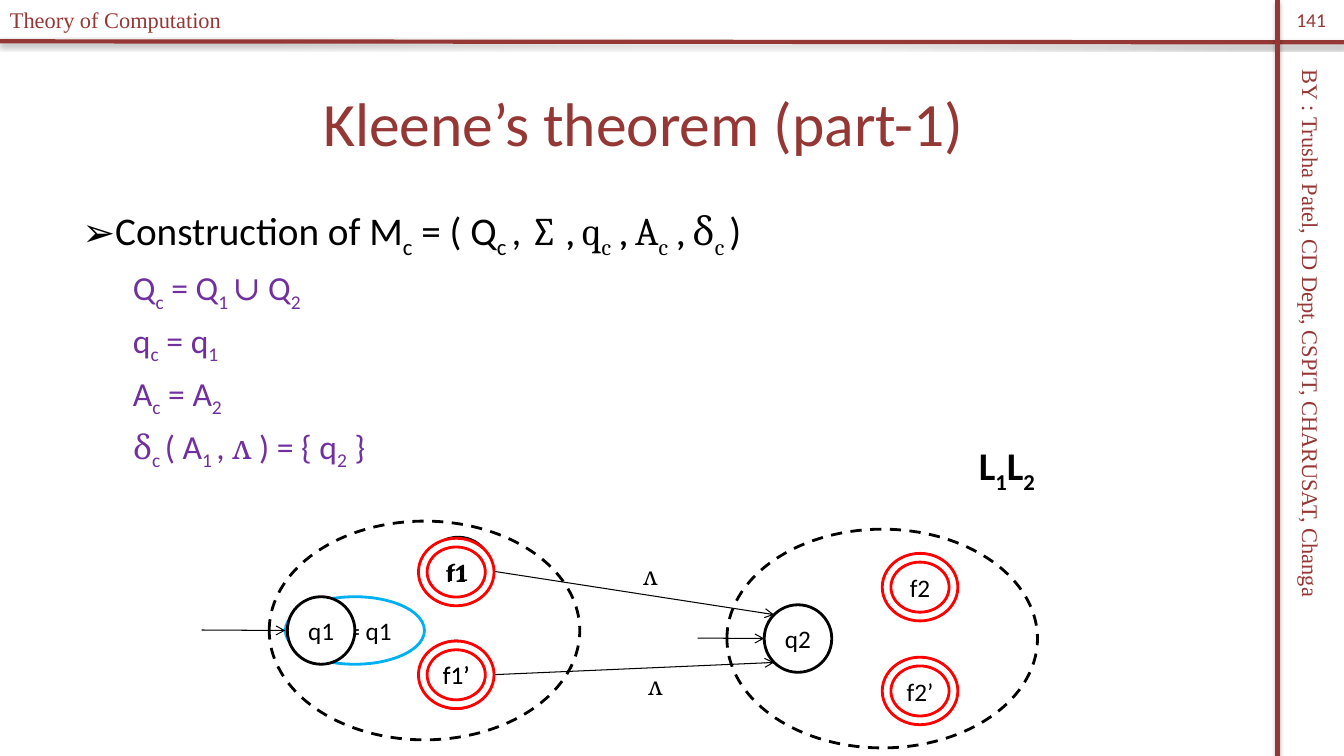
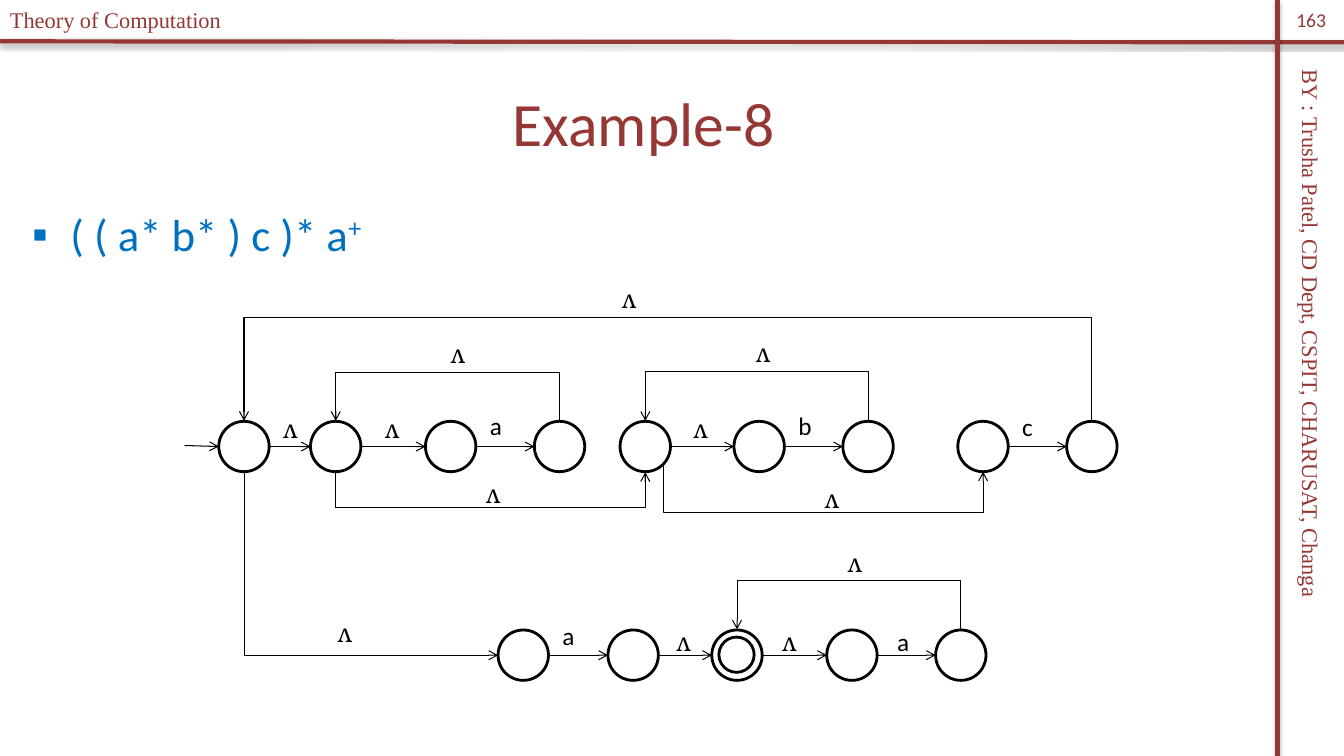
import dataclasses

import pptx
import pptx.dml.color
import pptx.enum.dml
import pptx.enum.shapes
import pptx.enum.text
import pptx.oxml
import pptx.oxml.ns
import pptx.util

Inches = pptx.util.Inches
Pt = pptx.util.Pt
qn = pptx.oxml.ns.qn
Kind = pptx.enum.shapes.MSO_SHAPE
Route = pptx.enum.shapes.MSO_CONNECTOR
Align = pptx.enum.text.PP_ALIGN
Anchor = pptx.enum.text.MSO_ANCHOR

# Connection sites of an ellipse, as fractions of its width and height
TOP, TOP_LEFT, LEFT, BOTTOM_LEFT, BOTTOM, BOTTOM_RIGHT, RIGHT = range(7)
SITES = [(0.5, 0), (0.146, 0.146), (0, 0.5), (0.146, 0.854),
         (0.5, 1), (0.854, 0.854), (1, 0.5)]
EMPTY_MOVE = "ʌ"


@dataclasses.dataclass(frozen=True)
class Theme:
    maroon: str = "953735"
    black: str = "000000"
    white: str = "FFFFFF"
    red: str = "FF0000"
    cyan: str = "00B0F0"
    blue: str = "0070C0"
    purple: str = "7030A0"
    sans: str = "Calibri"
    math: str = "Cambria"
    serif: str = "Times New Roman"
    title: int = 44
    formula: int = 32
    point: int = 28
    detail: int = 24
    label: int = 18
    band: int = 16
    number: int = 14
    band_line: float = 3
    outline: float = 2
    arrow: float = 0.75


@dataclasses.dataclass
class Span:
    text: str
    base: int = 0
    face: str = Theme.sans


def sub(text, face=Theme.sans):
    return Span(text, -25, face)


def math(text):
    return Span(text, 0, Theme.math)


def add_xml(parent, tag, **attributes):
    child = parent.makeelement(qn(tag), attributes)
    parent.append(child)
    return child


def rgb(colour):
    return pptx.dml.color.RGBColor.from_string(colour)


class Deck:
    def __init__(self, theme):
        self.theme = theme
        self.show = pptx.Presentation()
        self.show.slide_width = Inches(13.33)
        self.show.slide_height = Inches(7.5)
        self.page = None

    def start_page(self, title, number):
        t = self.theme
        self.page = self.show.slides.add_slide(self.show.slide_layouts[6])
        for start, end in [((0, 0.41), (13.33, 0.42)), ((12.67, 0), (12.67, 7.5))]:
            self.band(start, end)
        band_style = dict(size=t.band, colour=t.maroon)
        credit = self.text((9.79, 3.62, 6.42, 0.37), [Span(
            "BY : Trusha Patel, CD Dept, CSPIT, CHARUSAT, Changa", face=t.serif)], **band_style)
        credit.rotation = 90
        self.text((0, 0.01, 3.29, 0.37), [Span("Theory of Computation", face=t.serif)],
                  **band_style)
        centred = dict(colour=t.maroon, align=Align.CENTER, anchor=Anchor.MIDDLE)
        self.text((0.22, 0.58, 12.33, 1.25), [Span(title)], size=t.title, **centred)
        self.text((12.67, 0, 0.67, 0.4), [Span(number)], size=t.number, **centred)

    def add_spans(self, para, spans, size, colour, bold=False):
        for span in spans:
            run = para.add_run()
            run.text = span.text
            for name, value in dict(name=span.face, size=Pt(size), bold=bold).items():
                setattr(run.font, name, value)
            run.font.color.rgb = rgb(colour)
            if span.base:
                run.font._element.set("baseline", str(span.base * 1000))

    def text(self, at, spans, size, colour=Theme.black, align=Align.LEFT,
             anchor=Anchor.TOP, bold=False):
        box = self.page.shapes.add_textbox(*map(Inches, at))
        frame = box.text_frame
        frame.word_wrap = False
        frame.vertical_anchor = anchor
        frame.paragraphs[0].alignment = align
        self.add_spans(frame.paragraphs[0], spans, size, colour, bold)
        return box

    def label(self, x, y, text=EMPTY_MOVE):
        face = self.theme.math if text == EMPTY_MOVE else self.theme.sans
        self.text((x, y, 0.33, 0.4), [Span(text, face=face)], self.theme.label)

    def body(self, lines):
        """Each line is (spans, size, colour, left margin, hanging indent, bullet)."""
        frame = self.page.shapes.add_textbox(
            *map(Inches, (0.22, 2, 12.33, 5.25))).text_frame
        frame.word_wrap = True
        for index, (spans, size, colour, margin, hanging, bullet) in enumerate(lines):
            para = frame.add_paragraph() if index else frame.paragraphs[0]
            if index:
                para.space_before = Pt(5)
            props = para._p.get_or_add_pPr()
            props.set("marL", str(Inches(margin)))
            props.set("indent", str(-Inches(hanging)))
            if bullet:
                add_xml(props, "a:buFont", typeface="Arial")
                add_xml(props, "a:buChar", char=bullet)
            self.add_spans(para, spans, size, colour)

    def state(self, at, text="", line=Theme.black, kind=Kind.OVAL, dashed=False):
        shape = self.page.shapes.add_shape(kind, *map(Inches, at))
        shape.shadow.inherit = False
        if dashed:
            shape.fill.background()
            shape.line.dash_style = pptx.enum.dml.MSO_LINE.DASH
        else:
            shape.fill.solid()
            shape.fill.fore_color.rgb = rgb(self.theme.white)
        shape.line.color.rgb = rgb(line)
        shape.line.width = Pt(self.theme.outline)
        if text:
            frame = shape.text_frame
            frame.word_wrap = False
            frame.vertical_anchor = Anchor.MIDDLE
            for side in ("left", "right", "top", "bottom"):
                setattr(frame, "margin_" + side, 0)
            frame.paragraphs[0].alignment = Align.CENTER
            self.add_spans(frame.paragraphs[0], [Span(text)], self.theme.label,
                           self.theme.black)
        return shape

    def final_state(self, x, y, text):
        ring = self.state((x, y, 0.75, 0.67), text, self.theme.red, Kind.DONUT)
        ring.adjustments[0] = 0.129
        return ring

    def connector(self, route, start, end, colour, width):
        line = self.page.shapes.add_connector(route, *start, *end)
        line.line.color.rgb = rgb(colour)
        line.line.width = Pt(width)
        return line, add_xml(line._element.spPr, "a:effectLst")

    def band(self, start, end):
        t = self.theme
        effects = self.connector(Route.STRAIGHT, map(Inches, start), map(Inches, end),
                                 t.maroon, t.band_line)[1]
        shadow = add_xml(effects, "a:outerShdw", blurRad=str(Pt(3.1)), dist=str(Pt(1.8)),
                         dir="5400000", rotWithShape="0")
        add_xml(add_xml(shadow, "a:srgbClr", val=t.black), "a:alpha", val="35000")

    def arrow(self, start, end, route=Route.STRAIGHT):
        """Join two ends, each an (x, y) in inches or a (state, site) pair."""
        ends = [self.place(*start), self.place(*end)]
        line = self.connector(route, *ends, self.theme.black, self.theme.arrow)[0]
        add_xml(line.line._get_or_add_ln(), "a:tailEnd", type="arrow")
        joints = line._element.find(qn("p:nvCxnSpPr")).find(qn("p:cNvCxnSpPr"))
        for tag, (shape, site) in (("a:stCxn", start), ("a:endCxn", end)):
            if hasattr(shape, "shape_id"):
                add_xml(joints, tag, id=str(shape.shape_id), idx=str(site))
        return line, ends

    def place(self, first, second):
        if not hasattr(first, "shape_id"):
            return Inches(first), Inches(second)
        across, down = SITES[second]
        return (int(first.left + across * first.width),
                int(first.top + down * first.height))

    def bent_arrow(self, start, end, level=None):
        """Leave vertically; run along the given level, or turn once at the end's height."""
        line, ((x1, y1), (x2, y2)) = self.arrow(start, end, Route.ELBOW)
        rise, span = max(abs(y2 - y1), Inches(0.01)), abs(x2 - x1)
        upward = level is not None and Inches(level) < y1
        line.left, line.top = (x1 + x2 - rise) // 2, (y1 + y2 - span) // 2
        line.width, line.height = rise, span
        frame = line._element.spPr.find(qn("a:xfrm"))
        for name in ("flipH", "flipV"):
            frame.attrib.pop(name, None)
        frame.set("rot", "16200000")
        frame.set("flipV" if upward else "flipH", "1")
        shape = line._element.spPr.find(qn("a:prstGeom"))
        if level is None:
            shape.set("prst", "bentConnector2")
            return
        guides = shape.find(qn("a:avLst"))
        if guides is None:
            guides = add_xml(shape, "a:avLst")
        ratio = round(abs(Inches(level) - y1) / rise * 100000)
        add_xml(guides, "a:gd", name="adj1", fmla=f"val {ratio}")


def kleene_page(deck):
    t = deck.theme
    deck.start_page("Kleene’s theorem (part-1)", "141")
    construction = [
        Span("Construction of M"), sub("c"), Span(" = ( Q"), sub("c "), Span(", "),
        math("∑ , q"), sub("c", t.math), math(" , A"), sub("c", t.math),
        math(" , δ"), sub("c ", t.math), Span(")")]
    details = [
        [Span("Q"), sub("c"), Span(" = Q"), sub("1 "), math("∪ "), Span("Q"), sub("2")],
        [Span("q"), sub("c"), Span(" = q"), sub("1")],
        [Span("A"), sub("c"), Span(" = A"), sub("2")],
        [math("δ"), sub("c "), Span("( A"), sub("1 "), Span(","), math(" ʌ "),
         Span(") = { q"), sub("2"), Span(" }")]]
    deck.body([(construction, t.point, t.black, 0.81, 0.31, "➢")]
              + [(spans, t.detail, t.purple, 1, 0, None) for spans in details])

    q2 = deck.state((7.58, 6, 0.67, 0.67), "q2")
    for y, name in [(5.49, "f2"), (6.52, "f2’")]:
        deck.final_state(8.75, y, name)
    deck.state((7.21, 5.25, 3.08, 2.17), dashed=True)
    qc = deck.state((2.83, 5.92, 1.38, 0.67), "qc = q1", t.cyan)
    deck.state((2.67, 5.17, 3.08, 2.17), dashed=True)
    f1 = deck.state((4.21, 5.33, 0.67, 0.67), "f1")
    f1_prime = deck.state((4.19, 6.36, 0.67, 0.67), "f1’")
    for start, end in [((2, 6.25), (qc, LEFT)), ((f1, RIGHT), (q2, TOP_LEFT)),
                       ((f1_prime, RIGHT), (q2, BOTTOM_LEFT)), ((6.92, 6.33), (q2, LEFT))]:
        deck.arrow(start, end)
    deck.label(6.28, 5.51)
    deck.label(6.33, 6.6)
    deck.text((9.61, 4.33, 0.8, 0.57), [Span("L"), sub("1"), Span("L"), sub("2")],
              t.point, bold=True)
    deck.state((2.85, 5.92, 0.67, 0.67), "q1")
    for y, name in [(5.34, "f1"), (6.36, "f1’")]:
        deck.final_state(4.15, y, name)


def example_page(deck):
    t = deck.theme
    deck.start_page("Example-8", "163")
    deck.body([([Span("( ( a* b* ) c )* a"), Span("+", 30)],
                t.formula, t.blue, 0.38, 0.38, "▪")])

    def row(y, lefts):
        return [deck.state((x, y, 0.5, 0.5)) for x in lefts]

    upper = row(4.18, [2.17, 3.08, 4.22, 5.3, 6.15, 7.28, 8.36, 9.5, 10.58])
    lower = row(6.25, [4.94, 6.03, 7.06, 8.2, 9.28])
    entry, a_loop, _, a_end, b_loop, _, b_end, c_start, c_end = upper
    accept, last = lower[2], lower[4]
    deck.state((7.13, 6.32, 0.35, 0.35))

    deck.arrow((1.83, 4.42), (entry, LEFT))
    for chain in (upper[:4], upper[4:7], upper[7:], lower):
        for source, target in zip(chain, chain[1:]):
            deck.arrow((source, RIGHT), (target, LEFT))
    for source, target, level in [(a_end, a_loop, 3.68), (b_end, b_loop, 3.67),
                                  (c_end, entry, 3.13), (last, accept, 5.75)]:
        deck.bent_arrow((source, TOP), (target, TOP), level)
    deck.bent_arrow((a_loop, BOTTOM), (b_loop, BOTTOM), 5.05)
    deck.bent_arrow((b_loop, BOTTOM_RIGHT), (c_start, BOTTOM), 5.09)
    deck.bent_arrow((entry, BOTTOM), (lower[0], LEFT))

    for x, y in [(2.71, 4.05), (3.72, 4.05), (6.78, 4.05), (4.37, 3.31), (7.4, 3.3),
                 (6.07, 2.76), (4.72, 4.7), (8.08, 4.75), (3.25, 6.08), (8.31, 5.38),
                 (6.61, 6.16), (7.66, 6.16)]:
        deck.label(x, y)
    for x, y, symbol in [(4.76, 4.02, "a"), (7.82, 4.02, "b"), (10.04, 4.03, "c"),
                         (5.48, 6.1, "a"), (8.8, 6.16, "a")]:
        deck.label(x, y, symbol)


def main():
    deck = Deck(Theme())
    kleene_page(deck)
    example_page(deck)
    deck.show.save("out.pptx")


if __name__ == "__main__":
    main()
